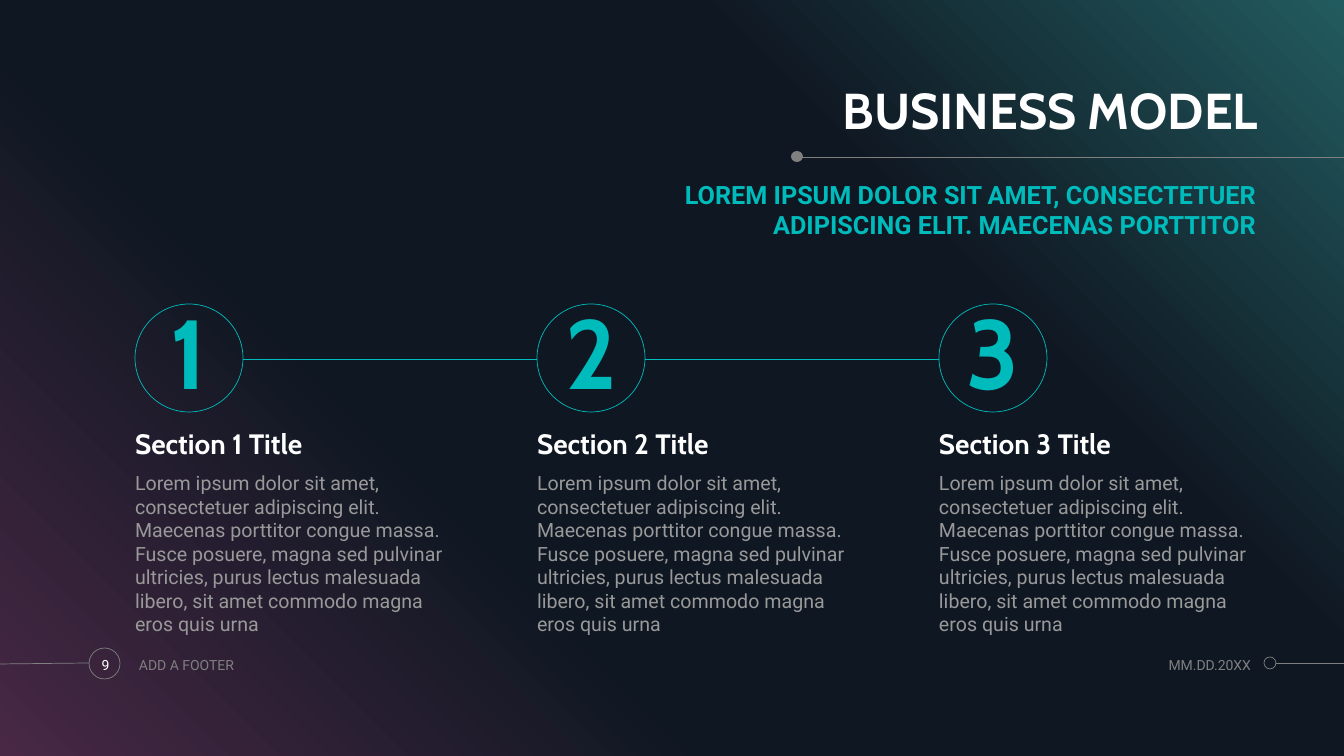
"""Build the business model slide with three linked sections."""
from copy import deepcopy

from lxml.etree import SubElement
from pptx import Presentation
from pptx.dml.color import RGBColor
from pptx.enum.shapes import MSO_CONNECTOR, MSO_SHAPE
from pptx.enum.text import MSO_ANCHOR, PP_ALIGN
from pptx.oxml.ns import qn
from pptx.util import Pt

TITLE = "BUSINESS MODEL"
LEAD = "LOREM IPSUM DOLOR SIT AMET, CONSECTETUER ADIPISCING ELIT. MAECENAS PORTTITOR"
BODY = (
    "Lorem ipsum dolor sit amet, consectetuer adipiscing elit. Maecenas porttitor "
    "congue massa. Fusce posuere, magna sed pulvinar ultricies, purus lectus "
    "malesuada libero, sit amet commodo magna eros quis urna"
)
STEPS = [
    ("1", "Section 1 Title", BODY),
    ("2", "Section 2 Title", BODY),
    ("3", "Section 3 Title", BODY),
]
PAGE, FOOTER, DATE = "9", "ADD A FOOTER", "MM.DD.20XX"

WHITE = RGBColor(0xFF, 0xFF, 0xFF)
TEAL = RGBColor(0x00, 0xBB, 0xBB)
GREY = RGBColor(0x80, 0x80, 0x80)
PALE = RGBColor(0x99, 0x99, 0x99)
PLUM = RGBColor(0x48, 0x28, 0x45)
NIGHT = RGBColor(0x0F, 0x17, 0x22)
SEA = RGBColor(0x22, 0x5B, 0x5F)
BLEND = [(0, PLUM), (0.34, NIGHT), (0.69, NIGHT), (1, SEA)]

HEAD, TEXT = "Cabin", "Roboto"
WIDE, HIGH = 1344, 756
SCALE = 12192000 / WIDE
LEFT, PITCH, RING, TOP = 135, 402, 108, 304
COLUMN = 325
FOOT, TALL = 648, 33


def px(*sizes):
    return [round(size * SCALE) for size in sizes]


def write(shape, text, size, color, font=TEXT, bold=False, align=PP_ALIGN.LEFT,
          anchor=MSO_ANCHOR.TOP, space=None, inset=0):
    frame = shape.text_frame
    frame.word_wrap = True
    frame.vertical_anchor = anchor
    frame.margin_left = frame.margin_right = px(inset)[0]
    frame.margin_top = frame.margin_bottom = 0
    para = frame.paragraphs[0]
    para.alignment = align
    para.line_spacing = space
    run = para.add_run()
    run.text = text
    run.font.name = font
    run.font.size = Pt(size)
    run.font.bold = bold
    run.font.color.rgb = color


def label(slide, box, text, size, color, **style):
    write(slide.shapes.add_textbox(*px(*box)), text, size, color, **style)


def draw(slide, kind, box):
    shape = slide.shapes.add_shape(kind, *px(*box))
    shape.shadow.inherit = False
    return shape


def ring(slide, box, color):
    shape = draw(slide, MSO_SHAPE.OVAL, box)
    shape.fill.background()
    shape.line.color.rgb = color
    shape.line.width = Pt(0.5)
    return shape


def link(slide, ends, color):
    line = slide.shapes.add_connector(MSO_CONNECTOR.STRAIGHT, *px(*ends))
    line.line.color.rgb = color
    line.line.width = Pt(0.5)
    SubElement(line._element.spPr, qn("a:effectLst"))


def backdrop(slide):
    panel = draw(slide, MSO_SHAPE.RECTANGLE, (0, 0, WIDE, HIGH))
    panel.line.fill.background()
    panel.fill.gradient()
    panel.fill.gradient_angle = 45
    stops = panel._element.spPr.find(".//" + qn("a:gsLst"))
    for _ in range(len(BLEND) - len(stops)):
        stops.append(deepcopy(stops[0]))
    for stop, (place, color) in zip(panel.fill.gradient_stops, BLEND):
        stop.position = place
        stop.color.rgb = color


def header(slide):
    link(slide, (WIDE, 157, 800, 157), GREY)
    dot = draw(slide, MSO_SHAPE.OVAL, (791, 151, 12, 11))
    dot.fill.solid()
    dot.fill.fore_color.rgb = GREY
    dot.line.fill.background()
    label(slide, (562, 78, 696, 62), TITLE, 36, WHITE, font=HEAD, bold=True,
          align=PP_ALIGN.RIGHT, anchor=MSO_ANCHOR.BOTTOM, space=0.9)
    label(slide, (562, 179, 694, 62), LEAD, 18, TEAL, bold=True,
          align=PP_ALIGN.RIGHT)


def steps(slide):
    for index, (number, title, body) in enumerate(STEPS):
        left = LEFT + index * PITCH
        if index:
            link(slide, (left - PITCH + RING, 359, left, 359), TEAL)
        badge = ring(slide, (left, TOP, RING, RING), TEAL)
        write(badge, number, 70, TEAL, font=HEAD, bold=True,
              align=PP_ALIGN.CENTER, anchor=MSO_ANCHOR.MIDDLE, space=0.9)
        label(slide, (left, 425, COLUMN, 36), title, 20, WHITE, font=HEAD,
              bold=True, anchor=MSO_ANCHOR.BOTTOM, space=0.9)
        label(slide, (left, 471, COLUMN, 156), body, 14, PALE)


def footer(slide):
    link(slide, (0, 664, 89, 663), GREY)
    ring(slide, (89, FOOT, 31, 31), GREY)
    link(slide, (1276, 663, WIDE, 663), GREY)
    ring(slide, (1264, 657, 12, 12), GREY)
    for left, width, text, color, align, inset in [
        (86, 39, PAGE, WHITE, PP_ALIGN.CENTER, 10),
        (129, 322, FOOTER, GREY, PP_ALIGN.LEFT, 10),
        (1104, 147, DATE, GREY, PP_ALIGN.RIGHT, 0),
    ]:
        label(slide, (left, FOOT, width, TALL), text, 10, color, align=align,
              anchor=MSO_ANCHOR.MIDDLE, inset=inset)


def main():
    deck = Presentation()
    deck.slide_width, deck.slide_height = px(WIDE, HIGH)
    slide = deck.slides.add_slide(deck.slide_layouts[6])
    for part in (backdrop, header, steps, footer):
        part(slide)
    deck.save("out.pptx")


if __name__ == "__main__":
    main()
